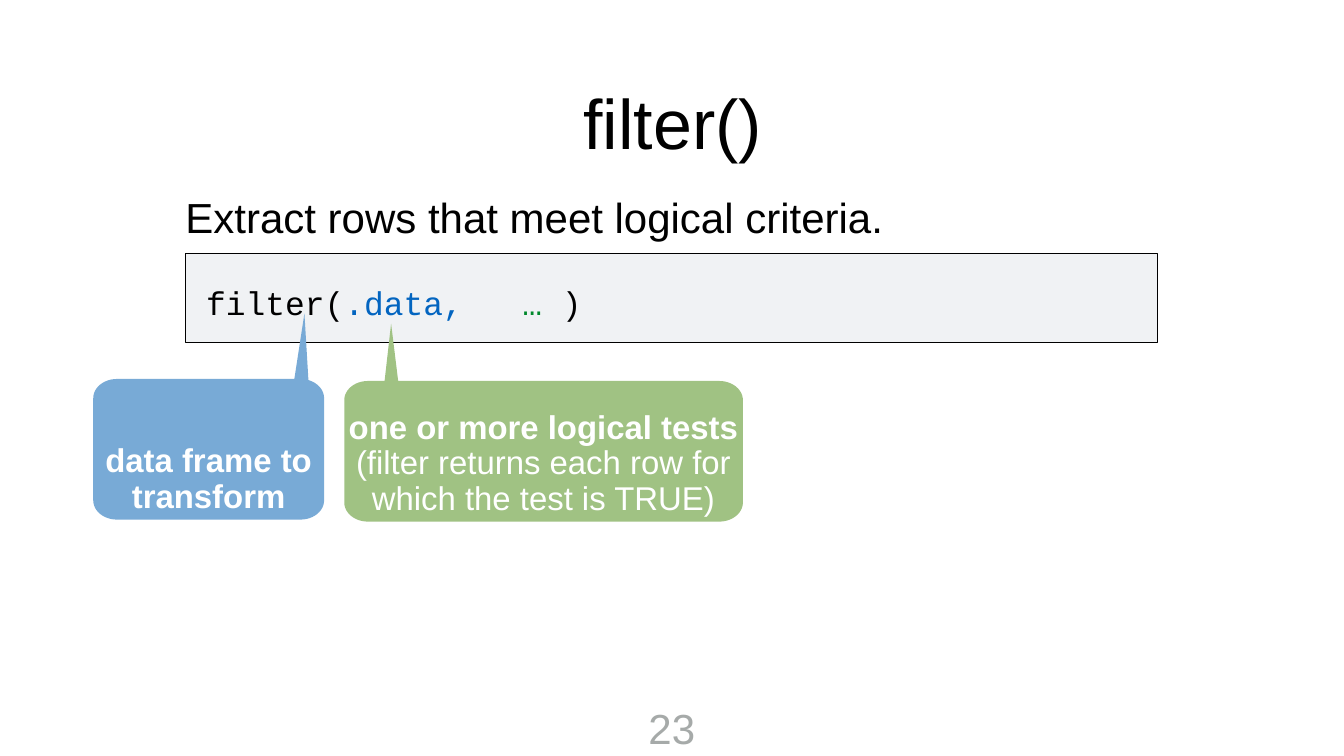
"""Build the slide that explains the arguments of filter()."""
from math import cos, pi, sin

from pptx import Presentation
from pptx.dml.color import RGBColor
from pptx.enum.shapes import MSO_SHAPE
from pptx.enum.text import MSO_ANCHOR as Anchor, PP_ALIGN as Align
from pptx.util import Pt

COLORS = {
    "black": "000000", "white": "FFFFFF", "panel": "F0F2F4",
    "data": "0365C0", "dots": "00882B", "blue": "78AAD6",
    "green": "A0C283", "number": "A6AAA9",
}
CORNER_X, CORNER_Y = 33.8, 27.4
CORNER_STEPS = 12


def rgb(name):
    """Return the named colour."""
    return RGBColor.from_string(COLORS[name])


def write(frame, runs, size, font="Arial", align=Align.LEFT,
          anchor=Anchor.TOP, inset=0, wrap=True, spacing=None):
    """Write (text, colour, bold) runs as one formatted paragraph."""
    frame.word_wrap = wrap
    frame.vertical_anchor = anchor
    frame.margin_left = frame.margin_right = Pt(inset)
    frame.margin_top = frame.margin_bottom = Pt(inset)
    paragraph = frame.paragraphs[0]
    paragraph.alignment = align
    if spacing:
        paragraph.line_spacing = spacing
    for text, color, bold in runs:
        run = paragraph.add_run()
        run.text = text
        run.font.size = Pt(size)
        run.font.name = font
        run.font.bold = bold
        run.font.color.rgb = rgb(color)


def add_text(slide, box, runs, **style):
    """Add a text box at (left, top, width, height)."""
    label = slide.shapes.add_textbox(*map(Pt, box))
    write(label.text_frame, runs, **style)


def add_panel(slide, box):
    """Add the outlined panel behind the code."""
    panel = slide.shapes.add_shape(MSO_SHAPE.RECTANGLE, *map(Pt, box))
    panel.shadow.inherit = False
    panel.fill.solid()
    panel.fill.fore_color.rgb = rgb("panel")
    panel.line.color.rgb = rgb("black")
    panel.line.width = Pt(1)


def rounded_outline(left, top, width, height):
    """Return the outline from the top left corner, counterclockwise."""
    west, east = left + CORNER_X, left + width - CORNER_X
    north, south = top + CORNER_Y, top + height - CORNER_Y
    centers = [(west, north), (west, south), (east, south), (east, north)]
    points = []
    for quarter, (x, y) in enumerate(centers, start=1):
        for step in range(CORNER_STEPS + 1):
            angle = (quarter + step / CORNER_STEPS) * pi / 2
            points.append((x + CORNER_X * cos(angle), y - CORNER_Y * sin(angle)))
    return points


def add_callout(slide, box, tail, color, runs):
    """Add a rounded callout whose tail is (right foot, tip, left foot)."""
    right_foot, tip, left_foot = tail
    body = [(x, y) for x, y in rounded_outline(*box)
            if y > box[1] + CORNER_Y or not left_foot[0] < x < right_foot[0]]
    outline = [(Pt(x), Pt(y)) for x, y in [tip, left_foot, *body, right_foot]]
    builder = slide.shapes.build_freeform(*outline[0])
    builder.add_line_segments(outline[1:], close=True)
    callout = builder.convert_to_shape()
    callout.shadow.inherit = False
    callout.fill.solid()
    callout.fill.fore_color.rgb = rgb(color)
    callout.line.fill.background()
    write(callout.text_frame, runs, size=47, align=Align.CENTER,
          anchor=Anchor.BOTTOM, inset=5.76, spacing=0.9)


def main():
    """Build and save the slide."""
    deck = Presentation()
    deck.slide_width, deck.slide_height = Pt(1920), Pt(1080)
    slide = deck.slides.add_slide(deck.slide_layouts[6])

    add_text(slide, (316.8, 79.2, 1288.8, 188.6), [("filter()", "black", False)],
             size=100, align=Align.CENTER, anchor=Anchor.MIDDLE, inset=4.3)
    add_text(slide, (265, 253.4, 1288.8, 112.3),
             [("Extract rows that meet logical criteria.", "black", False)],
             size=60, anchor=Anchor.MIDDLE)
    add_panel(slide, (265, 362.2, 1388.9, 127.4))
    add_text(slide, (290.2, 399, 1241.3, 112.3),
             [("filter(", "black", False), (".data,   ", "data", False),
              ("… ", "dots", False), (")", "black", False)],
             size=47, font="Courier New", inset=4.3)
    add_callout(slide, (491.8, 544.3, 569.5, 200.9),
                [(568.8, 544.3), (558.7, 462.2), (549.4, 544.3)], "green",
                [("one or more logical tests ", "white", True),
                 ("(filter returns each row for which the test is TRUE)",
                  "white", False)])
    add_callout(slide, (133.2, 541.4, 329.8, 200.9),
                [(440.6, 542.9), (434.9, 447.8), (420.5, 541.4)], "blue",
                [("data frame to transform", "white", True)])
    add_text(slide, (920.2, 997.2, 79.2, 83.5), [("23", "number", False)],
             size=60, align=Align.CENTER, inset=5.76, wrap=False)
    deck.save("out.pptx")


if __name__ == "__main__":
    main()
